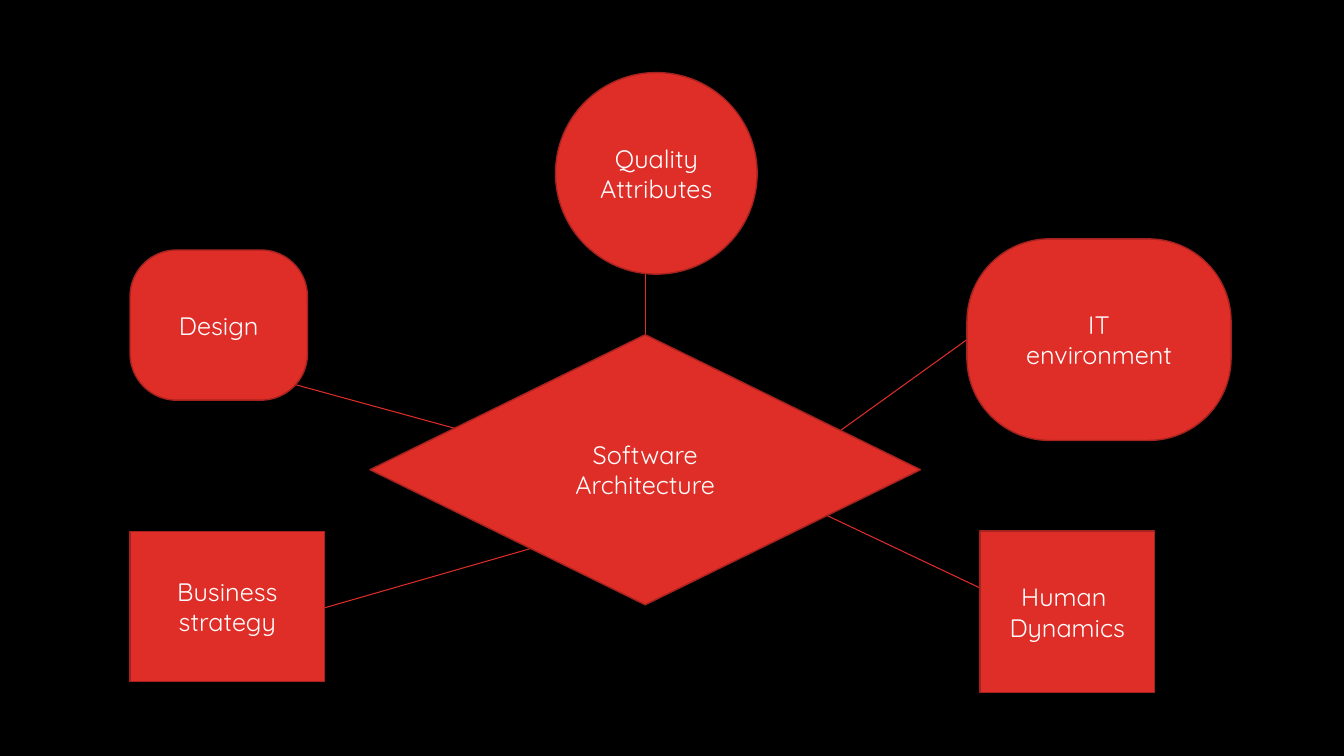
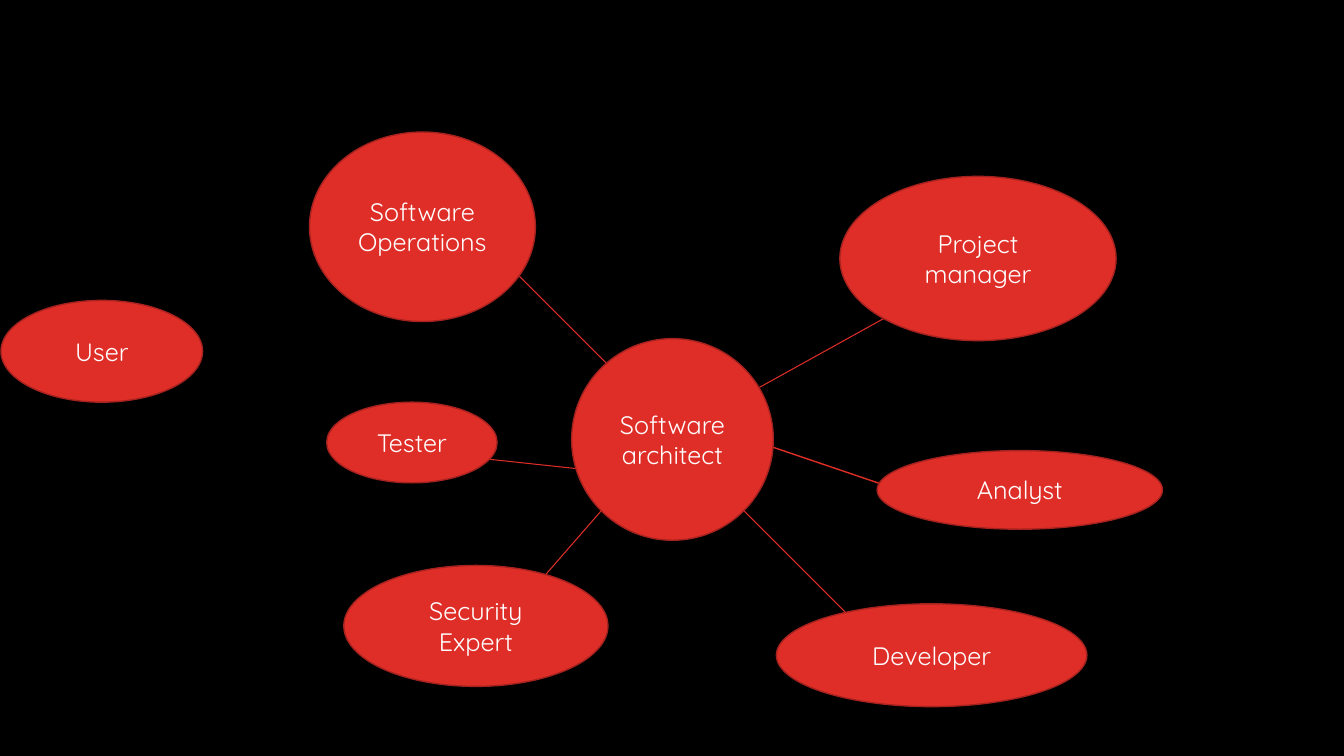
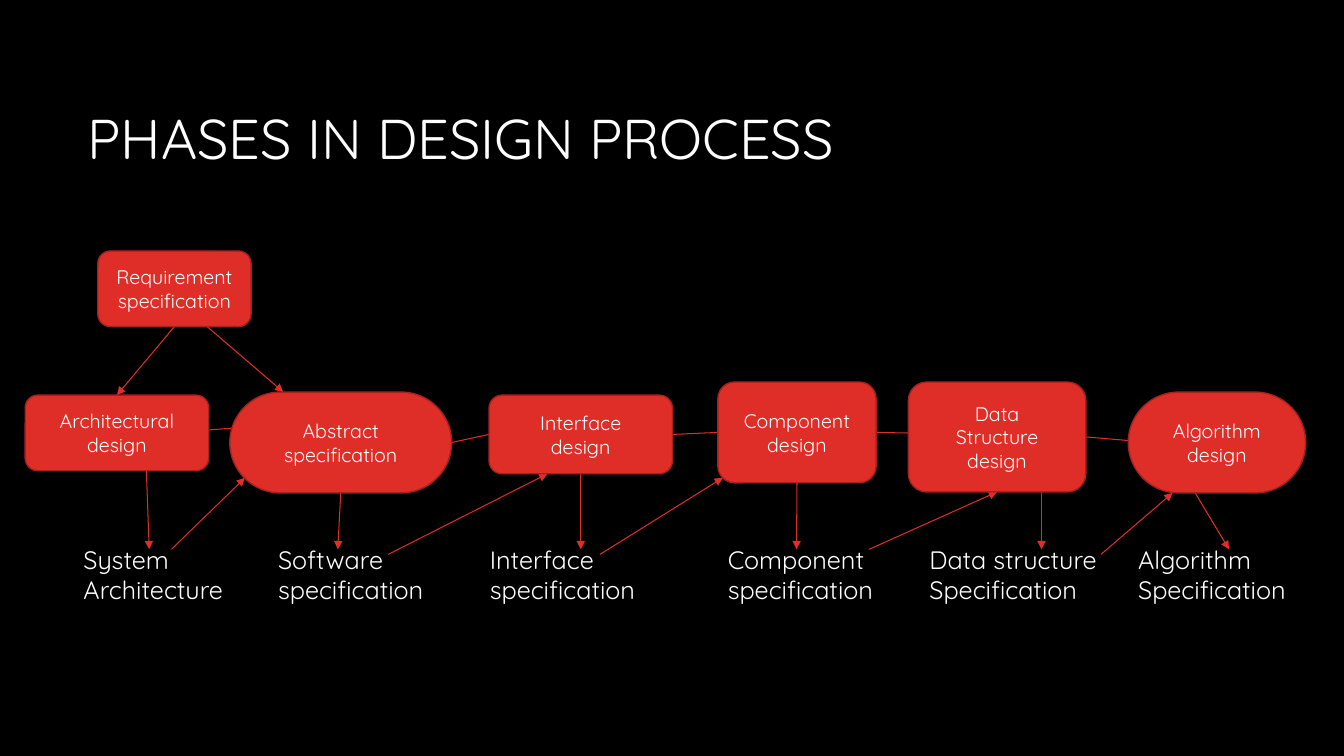
from dataclasses import dataclass
from typing import NamedTuple, Optional, Union

from lxml import etree
from pptx import Presentation
from pptx.dml.color import RGBColor
from pptx.enum.shapes import MSO_CONNECTOR, MSO_SHAPE
from pptx.enum.text import MSO_ANCHOR, PP_ALIGN
from pptx.oxml.ns import qn
from pptx.util import Inches, Pt

RECT = MSO_SHAPE.RECTANGLE
ROUND = MSO_SHAPE.ROUNDED_RECTANGLE
OVAL = MSO_SHAPE.OVAL
DIAMOND = MSO_SHAPE.DIAMOND
STRAIGHT = MSO_CONNECTOR.STRAIGHT
LEFT, CENTER, RIGHT = PP_ALIGN.LEFT, PP_ALIGN.CENTER, PP_ALIGN.RIGHT
TOP_ANCHOR, MIDDLE = MSO_ANCHOR.TOP, MSO_ANCHOR.MIDDLE
TOP_SIDE, LEFT_SIDE, BOTTOM_SIDE, RIGHT_SIDE = range(4)
BACK = 2  # first place after the two property elements of a shape tree


@dataclass(frozen=True)
class Theme:
    background: RGBColor = RGBColor(0x00, 0x00, 0x00)
    accent: RGBColor = RGBColor(0xDF, 0x2E, 0x28)
    outline: RGBColor = RGBColor(0xA5, 0x22, 0x1E)
    text: RGBColor = RGBColor(0xFF, 0xFF, 0xFF)
    font: str = "Quicksand"
    title_size: float = 40
    body_size: float = 18
    small_size: float = 14
    outline_width: float = 1
    link_width: float = 0.75


THEME = Theme()


class Area(NamedTuple):
    left: float
    top: float
    width: float
    height: float

    def lengths(self) -> list:
        return [Inches(value) for value in self]


class Point(NamedTuple):
    x: float
    y: float


class Side(NamedTuple):
    """The middle of one side of a named node."""
    node: str
    site: int


@dataclass(frozen=True)
class Node:
    name: str
    text: str
    area: Area
    kind: MSO_SHAPE = OVAL
    rounding: Optional[float] = None


@dataclass(frozen=True)
class Link:
    start: Union[Point, Side]
    end: Union[Point, Side]
    width: float = THEME.link_width


# Slide 1: what shapes a software architecture
INFLUENCES = [
    Node("design", "Design", Area(1.29, 2.48, 1.76, 1.49), ROUND, 0.31),
    Node("environment", "IT\nenvironment", Area(9.59, 2.37, 2.62, 2), ROUND, 0.41),
    Node("strategy", "Business\nstrategy", Area(1.29, 5.27, 1.93, 1.49), RECT),
    Node("dynamics", "Human \nDynamics", Area(9.72, 5.27, 1.73, 1.6), RECT),
    Node("architecture", "Software\nArchitecture", Area(3.67, 3.32, 5.46, 2.68), DIAMOND),
    Node("quality", "Quality\nAttributes", Area(5.51, 0.72, 2, 2)),
]
INFLUENCE_LINKS = [
    Link(Point(7.75, 4.9), Point(10.22, 6.07)),
    Link(Point(6.4, 1.5), Point(6.4, 4.9)),
    Link(Point(2.69, 3.75), Point(4.95, 4.37)),
    Link(Point(3.08, 6.07), Point(7.67, 4.75)),
    Link(Side("environment", LEFT_SIDE), Point(7.67, 4.75)),
]

# Slide 2: the people around the architect
ROLES = [
    Node("user", "User", Area(0.01, 2.98, 2, 1.01)),
    Node("architect", "Software architect", Area(5.67, 3.36, 2, 2)),
    Node("manager", "Project manager", Area(8.33, 1.75, 2.74, 1.63)),
    Node("analyst", "Analyst", Area(8.7, 4.47, 2.83, 0.78)),
    Node("developer", "Developer", Area(7.7, 5.99, 3.08, 1.02)),
    Node("security", "Security\nExpert", Area(3.41, 5.61, 2.62, 1.2)),
    Node("tester", "Tester", Area(3.24, 3.99, 1.69, 0.8)),
    Node("operations", "Software\nOperations", Area(3.07, 1.31, 2.24, 1.88)),
]
ROLE_LINKS = [
    Link(Point(6.78, 4.26), Point(9, 3.03)),
    Link(Point(6.97, 4.2), Point(9, 4.89), width=1),
    Link(Point(6.74, 4.43), Point(8.74, 6.43)),
    Link(Point(5.16, 5.99), Point(6.1, 4.91)),
    Link(Point(4.87, 2.46), Point(6.87, 4.46)),
    Link(Point(4.04, 4.47), Point(7.04, 4.79)),
]

# Slide 3: design phases and the product of each
PHASES = [
    Node("requirement", "Requirement specification", Area(0.97, 2.49, 1.52, 0.75), ROUND),
    Node("architectural", "Architectural\ndesign", Area(0.25, 3.92, 1.82, 0.75), ROUND),
    Node("abstract", "Abstract\nspecification", Area(2.28, 3.89, 2.2, 1), ROUND, 0.5),
    Node("interface", "Interface\ndesign", Area(4.85, 3.92, 1.82, 0.78), ROUND),
    Node("component", "Component\ndesign", Area(7.12, 3.79, 1.57, 1), ROUND),
    Node("algorithm", "Algorithm\ndesign", Area(11.19, 3.89, 1.76, 1), ROUND, 0.5),
    Node("data", "Data\nStructure\ndesign", Area(9.01, 3.79, 1.76, 1.09), ROUND),
]
PRODUCTS = {
    "System\nArchitecture": 0.73,
    "Software specification": 2.66,
    "Interface\nspecification": 4.76,
    "Component\nspecification": 7.12,
    "Data structure\nSpecification": 9.12,
    "Algorithm\nSpecification": 11.19,
}
PRODUCT_TOP = 5.35
TEXT_TOP = PRODUCT_TOP + 0.1
PHASE_LINKS = [
    Link(Side("abstract", RIGHT_SIDE), Side("interface", LEFT_SIDE)),
    Link(Point(1.73, 4.29), Point(2.82, 4.21)),
    Link(Side("interface", RIGHT_SIDE), Side("component", LEFT_SIDE)),
    Link(Side("component", RIGHT_SIDE), Point(9.75, 4.31)),
    Link(Point(11.42, 4.39), Side("data", RIGHT_SIDE)),
]
PHASE_ARROWS = [
    # From the requirement to the first two phases
    Link(Point(1.95, 3.15), Point(2.81, 3.89)),
    Link(Side("requirement", BOTTOM_SIDE), Side("architectural", TOP_SIDE)),
    # From each phase down to its product
    Link(Point(1.44, 4.34), Point(1.48, TEXT_TOP)),
    Link(Side("abstract", BOTTOM_SIDE), Point(3.35, TEXT_TOP)),
    Link(Side("interface", BOTTOM_SIDE), Point(5.76, TEXT_TOP)),
    Link(Side("component", BOTTOM_SIDE), Point(7.9, TEXT_TOP)),
    Link(Point(10.33, 4.8), Point(10.33, TEXT_TOP)),
    Link(Point(11.8, 4.8), Point(12.19, TEXT_TOP)),
    # From each product up to the next phase
    Link(Point(1.7, TEXT_TOP), Point(2.43, 4.74)),
    Link(Point(3.85, 5.5), Point(5.43, 4.7)),
    Link(Point(5.95, 5.5), Point(7.17, 4.74)),
    Link(Point(8.62, TEXT_TOP), Side("data", BOTTOM_SIDE)),
    Link(Point(10.92, 5.5), Point(11.63, 4.89)),
]


def add_page(deck):
    page = deck.slides.add_slide(deck.slide_layouts[6])
    page.background.fill.solid()
    page.background.fill.fore_color.rgb = THEME.background
    return page


def write_text(box, text: str, size: float, align, anchor, spacing: float = 1.0) -> None:
    """Write one paragraph for each line of the text."""
    frame = box.text_frame
    frame.word_wrap = True
    frame.vertical_anchor = anchor
    for index, line in enumerate(text.split("\n")):
        para = frame.add_paragraph() if index else frame.paragraphs[0]
        para.alignment = align
        para.line_spacing = spacing
        span = para.add_run()
        span.text = line
        span.font.name = THEME.font
        span.font.size = Pt(size)
        span.font.color.rgb = THEME.text


def add_label(page, text: str, area: Area, size: float, align=LEFT,
              anchor=TOP_ANCHOR, spacing: float = 1.0) -> None:
    box = page.shapes.add_textbox(*area.lengths())
    write_text(box, text, size, align, anchor, spacing)


def add_node(page, node: Node, size: float):
    shape = page.shapes.add_shape(node.kind, *node.area.lengths())
    if node.rounding is not None:
        shape.adjustments[0] = node.rounding
    shape.shadow.inherit = False
    shape.fill.solid()
    shape.fill.fore_color.rgb = THEME.accent
    shape.line.color.rgb = THEME.outline
    shape.line.width = Pt(THEME.outline_width)
    write_text(shape, node.text, size, CENTER, MIDDLE)
    return shape


def add_link(page, link: Link, shapes: dict, arrow: bool = False) -> None:
    """Draw a link behind the nodes, so that it meets their edges and clears their text."""
    ends = [end if isinstance(end, Point) else Point(0, 0) for end in (link.start, link.end)]
    lengths = [Inches(value) for end in ends for value in end]
    connector = page.shapes.add_connector(STRAIGHT, *lengths)
    if isinstance(link.start, Side):
        connector.begin_connect(shapes[link.start.node], link.start.site)
    if isinstance(link.end, Side):
        connector.end_connect(shapes[link.end.node], link.end.site)
    connector.line.color.rgb = THEME.accent
    connector.line.width = Pt(link.width)
    if arrow:
        outline = connector.line._get_or_add_ln()
        etree.SubElement(outline, qn("a:tailEnd"), type="triangle")
    etree.SubElement(connector._element.spPr, qn("a:effectLst"))
    page.shapes._spTree.insert(BACK, connector._element)


def add_diagram(page, nodes: list[Node], links: list[Link],
                arrows: Optional[list[Link]] = None, size: float = THEME.body_size) -> None:
    shapes = {node.name: add_node(page, node, size) for node in nodes}
    for link in links:
        add_link(page, link, shapes)
    for link in arrows or []:
        add_link(page, link, shapes, arrow=True)


def main() -> None:
    deck = Presentation()
    deck.slide_width, deck.slide_height = Inches(13.33), Inches(7.5)

    add_diagram(add_page(deck), INFLUENCES, INFLUENCE_LINKS)
    add_diagram(add_page(deck), ROLES, ROLE_LINKS)

    # Title, product captions and phase diagram
    page = add_page(deck)
    add_label(page, "PHASES IN DESIGN PROCESS", Area(0.37, 0.7, 8, 1.41),
              THEME.title_size, RIGHT, MIDDLE, spacing=0.9)
    for product, left in PRODUCTS.items():
        add_label(page, product, Area(left, PRODUCT_TOP, 2, 0.71), THEME.body_size)
    add_diagram(page, PHASES, PHASE_LINKS, PHASE_ARROWS, THEME.small_size)

    deck.save("out.pptx")


if __name__ == "__main__":
    main()
